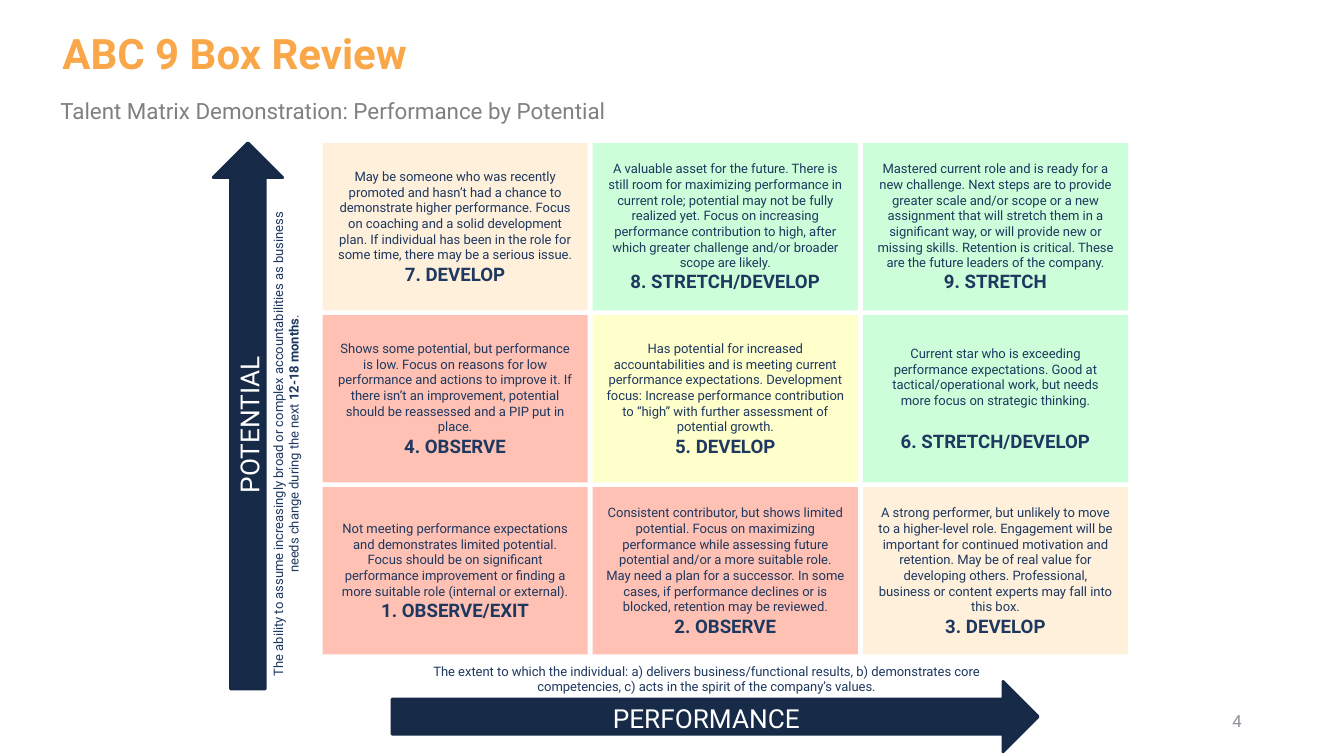
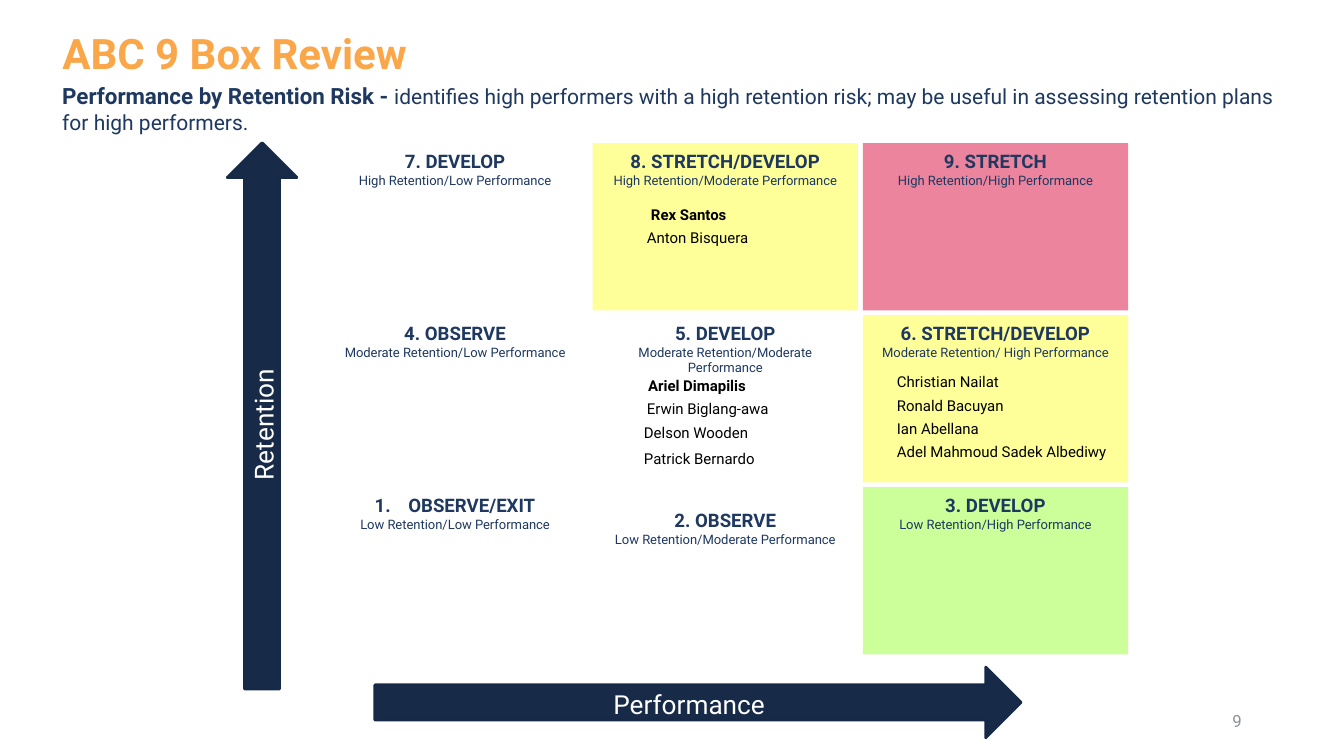
from dataclasses import dataclass
from lxml import etree
from pptx import Presentation
from pptx.dml.color import RGBColor
from pptx.enum.shapes import MSO_SHAPE
from pptx.enum.text import MSO_ANCHOR, PP_ALIGN
from pptx.oxml.ns import qn
from pptx.util import Pt

RECTANGLE, ARROW = MSO_SHAPE.RECTANGLE, MSO_SHAPE.RIGHT_ARROW
TOP, MIDDLE = MSO_ANCHOR.TOP, MSO_ANCHOR.MIDDLE
LEFT, CENTER, RIGHT = PP_ALIGN.LEFT, PP_ALIGN.CENTER, PP_ALIGN.RIGHT


@dataclass(frozen=True)
class Theme:
    font: str = "Roboto"
    orange: str = "FAA74A"
    navy: str = "1E3860"
    arrow: str = "172A48"
    arrow_line: str = "162947"
    gray: str = "808080"
    number: str = "8D919D"
    white: str = "FFFFFF"
    black: str = "000000"
    mint: str = "CCFFD9"
    cream: str = "FEF0DB"
    pale_yellow: str = "FFFFCC"
    salmon: str = "FFC1B3"
    pink: str = "EC849D"
    yellow: str = "FFFF99"
    lime: str = "CCFF99"
    title_size: float = 30
    arrow_size: float = 18.7
    subtitle_size: float = 16
    lead_size: float = 15
    heading_size: float = 13.3
    page_size: float = 12
    name_size: float = 10.7
    note_size: float = 9.3


THEME = Theme()


def add_box(page, frame, kind=None, fill=None, anchor=TOP, inset=(7.2, 3.6)):
    lengths = [Pt(value) for value in frame]
    if kind is None:
        box = page.shapes.add_textbox(*lengths)
    else:
        box = page.shapes.add_shape(kind, *lengths)
        box.shadow.inherit = False
        box.fill.solid()
        box.fill.fore_color.rgb = RGBColor.from_string(fill)
        box.line.fill.background()
    text = box.text_frame
    text.word_wrap = True
    text.vertical_anchor = anchor
    text.margin_left = text.margin_right = Pt(inset[0])
    text.margin_top = text.margin_bottom = Pt(inset[1])
    return box


def add_text(box, words, size, color, bold=False, align=LEFT):
    text = box.text_frame
    para = text.paragraphs[0]
    if para.runs:
        para = text.add_paragraph()
    para.alignment = align
    para.font.name = THEME.font
    para.font.size = Pt(size)
    para.font.bold = bold
    para.font.color.rgb = RGBColor.from_string(color)
    para.add_run().text = words
    return para


CELL_INSET = (9.6, 4.8)
GRID_LEFT, GRID_TOP = 230.4, 102.2
COLUMN_PITCH, ROW_PITCH = 193, 122.9
CELL_WIDTH, CELL_HEIGHT = 189.4, 119.5
cell_frames = [
    (GRID_LEFT + column * COLUMN_PITCH, GRID_TOP + row * ROW_PITCH, CELL_WIDTH, CELL_HEIGHT)
    for row in range(3)
    for column in range(3)
]

headings = [
    "7. DEVELOP", "8. STRETCH/DEVELOP", "9. STRETCH",
    "4. OBSERVE", "5. DEVELOP", "6. STRETCH/DEVELOP",
    "1. OBSERVE/EXIT", "2. OBSERVE", "3. DEVELOP",
]

talent_cells = [
    (THEME.cream, "May be someone who was recently promoted and hasn’t had a chance to demonstrate higher performance. Focus on coaching and a solid development plan. If individual has been in the role for some time, there may be a serious issue."),
    (THEME.mint, "A valuable asset for the future. There is still room for maximizing performance in current role; potential may not be fully realized yet. Focus on increasing performance contribution to high, after which greater challenge and/or broader scope are likely."),
    (THEME.mint, "Mastered current role and is ready for a new challenge. Next steps are to provide greater scale and/or scope or a new assignment that will stretch them in a significant way, or will provide new or missing skills. Retention is critical. These are the future leaders of the company."),
    (THEME.salmon, "Shows some potential, but performance is low. Focus on reasons for low performance and actions to improve it. If there isn’t an improvement, potential should be reassessed and a PIP put in place."),
    (THEME.pale_yellow, "Has potential for increased accountabilities and is meeting current performance expectations. Development focus: Increase performance contribution to “high” with further assessment of potential growth."),
    (THEME.mint, "Current star who is exceeding performance expectations. Good at tactical/operational work, but needs more focus on strategic thinking."),
    (THEME.salmon, "Not meeting performance expectations and demonstrates limited potential. Focus should be on significant performance improvement or finding a more suitable role (internal or external)."),
    (THEME.salmon, "Consistent contributor, but shows limited potential. Focus on maximizing performance while assessing future potential and/or a more suitable role. May need a plan for a successor. In some cases, if performance declines or is blocked, retention may be reviewed."),
    (THEME.cream, "A strong performer, but unlikely to move to a higher-level role. Engagement will be important for continued motivation and retention. May be of real value for developing others. Professional, business or content experts may fall into this box."),
]

retention_cells = [
    (None, "High Retention/Low Performance"),
    (THEME.yellow, "High Retention/Moderate Performance"),
    (THEME.pink, "High Retention/High Performance"),
    (None, "Moderate Retention/Low Performance"),
    (None, "Moderate Retention/Moderate Performance"),
    (THEME.yellow, "Moderate Retention/ High Performance"),
    (None, "Low Retention/Low Performance"),
    (None, "Low Retention/Moderate Performance"),
    (THEME.lime, "Low Retention/High Performance"),
]

people = [
    (457.9, 143.3, "Rex Santos", True),
    (455, 159.8, "Anton Bisquera", False),
    (455.8, 265.7, "Ariel Dimapilis", True),
    (455, 282.2, "Erwin Biglang-awa", False),
    (452.9, 298.8, "Delson Wooden", False),
    (452.9, 317.5, "Patrick Bernardo", False),
    (633.6, 262.8, "Christian Nailat", False),
    (633.6, 279.4, "Ronald Bacuyan", False),
    (633.6, 295.9, "Ian Abellana", False),
    (633.6, 312.5, "Adel Mahmoud Sadek Albediwy", False),
]

page_plans = [
    ("4", ("PERFORMANCE", 280.1, 486.7), ("POTENTIAL", -18)),
    ("9", ("Performance", 267.8, 476.6), ("Retention", -7.9)),
]

deck = Presentation()
deck.slide_width, deck.slide_height = Pt(960), Pt(540)
pages = []

for number, (across, across_left, across_top), (upward, upward_left) in page_plans:
    page = deck.slides.add_slide(deck.slide_layouts[6])
    pages.append(page)
    title = add_box(page, (37.4, 15.8, 834.5, 43.9))
    add_text(title, "ABC 9 Box Review", THEME.title_size, THEME.orange, bold=True)
    page_number = add_box(page, (678.2, 500.4, 216, 28.8), anchor=MIDDLE)
    add_text(page_number, number, THEME.page_size, THEME.number, align=RIGHT)
    for label, frame, rotation in (
        (across, (across_left, across_top, 461.5, 50.4), 0),
        (upward, (upward_left, 272.2, 390.2, 49.7), 270),
    ):
        arrow = add_box(page, frame, ARROW, THEME.arrow, MIDDLE, CELL_INSET)
        arrow.rotation = rotation
        arrow.line.color.rgb = RGBColor.from_string(THEME.arrow_line)
        arrow.line.width = Pt(2)
        para = add_text(arrow, label, THEME.arrow_size, THEME.white, align=CENTER)
        para.line_spacing = 1.07
        para.space_after = Pt(10.7)

talent_page, retention_page = pages

subtitle = add_box(talent_page, (36, 66.2, 886.3, 33.1))
add_text(subtitle, "Talent Matrix Demonstration: Performance by Potential", THEME.subtitle_size, THEME.gray)

for frame, heading, (fill, description) in zip(cell_frames, headings, talent_cells):
    cell = add_box(talent_page, frame, RECTANGLE, fill, MIDDLE, CELL_INSET)
    add_text(cell, description, THEME.note_size, THEME.navy, align=CENTER)
    para = add_text(cell, heading, THEME.heading_size, THEME.navy, bold=True, align=CENTER)
    if heading.startswith("6."):
        para.space_before = Pt(15.6)

potential_note = add_box(talent_page, (29.5, 302.4, 349.2, 29.5))
potential_note.rotation = 270
para = add_text(
    potential_note,
    "The ability to assume increasingly broad or complex accountabilities as business needs change during the next ",
    THEME.note_size, THEME.navy, align=CENTER,
)
span = para.add_run()
span.text = "12-18 months"
span.font.bold = True
para.add_run().text = "."

performance_note = add_box(talent_page, (280.1, 470.2, 449.3, 29.5))
add_text(
    performance_note,
    "The extent to which the individual: a) delivers business/functional results, b) demonstrates core competencies, c) acts in the spirit of the company’s values.",
    THEME.note_size, THEME.navy, align=CENTER,
)

lead = add_box(retention_page, (37.4, 55.4, 892.8, 43))
para = add_text(lead, "Performance by Retention Risk - ", THEME.subtitle_size, THEME.navy)
para.runs[0].font.bold = True
span = para.add_run()
span.text = "identifies high performers with a high retention risk; may be useful in assessing retention plans for high performers."
span.font.size = Pt(THEME.lead_size)

for frame, heading, (fill, rating) in zip(cell_frames, headings, retention_cells):
    cell = add_box(retention_page, frame, RECTANGLE if fill else None, fill, inset=CELL_INSET)
    numbered = heading.startswith("1.")
    words = heading.removeprefix("1. ")
    para = add_text(cell, words, THEME.heading_size, THEME.navy, bold=True, align=CENTER)
    if numbered:
        settings = para._p.get_or_add_pPr()
        settings.set("marL", str(Pt(24)))
        settings.set("indent", str(Pt(-24)))
        bullet = etree.Element(qn("a:buAutoNum"), type="arabicPeriod")
        settings.insert(0, bullet)
    if heading.startswith("2."):
        cell.text_frame.margin_top = Pt(15.8)
    add_text(cell, rating, THEME.note_size, THEME.navy, align=CENTER)

for left, top, name, bold in people:
    name_box = add_box(retention_page, (left, top, 172.1, 20.2))
    add_text(name_box, name, THEME.name_size, THEME.black, bold=bold)

deck.save("out.pptx")
